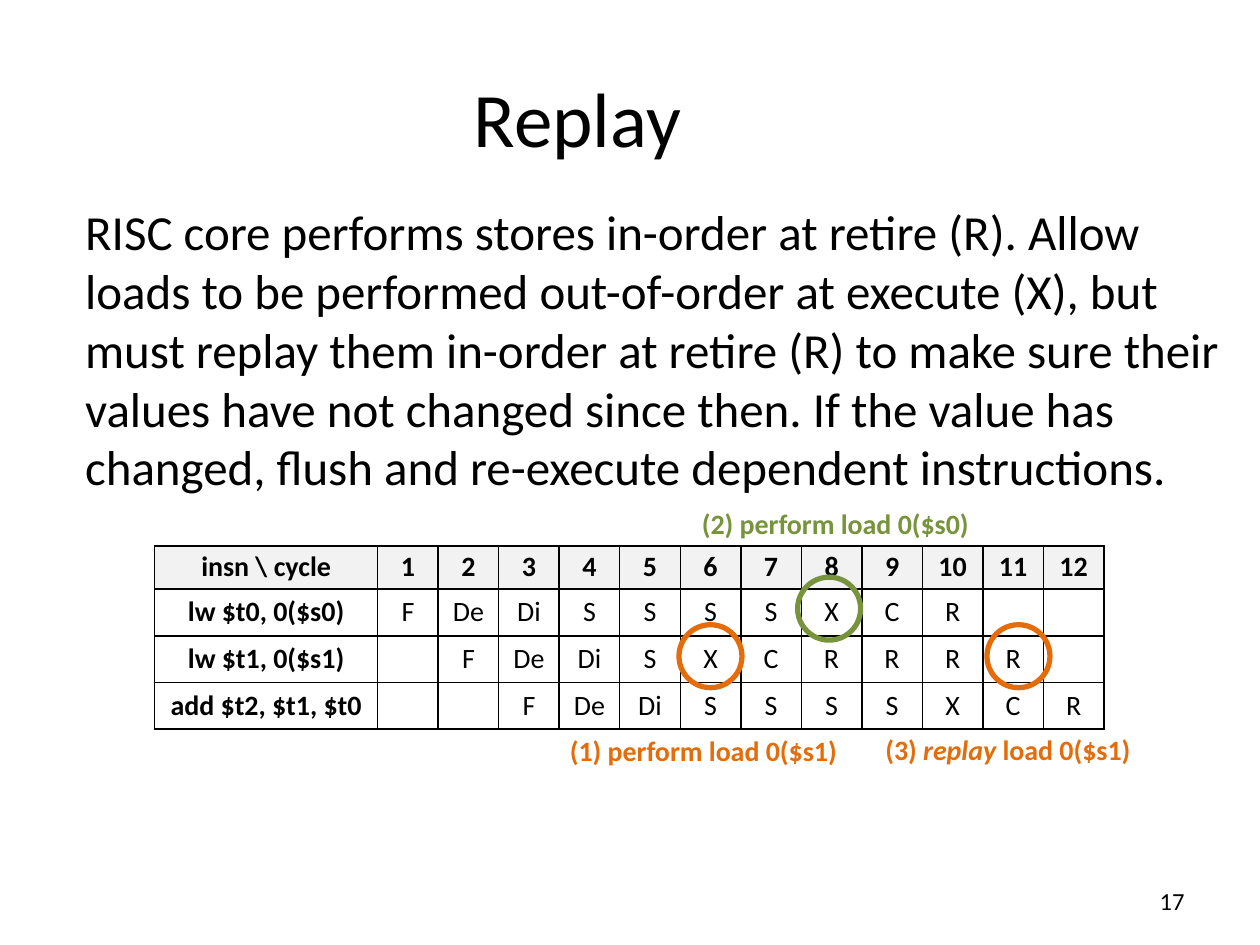
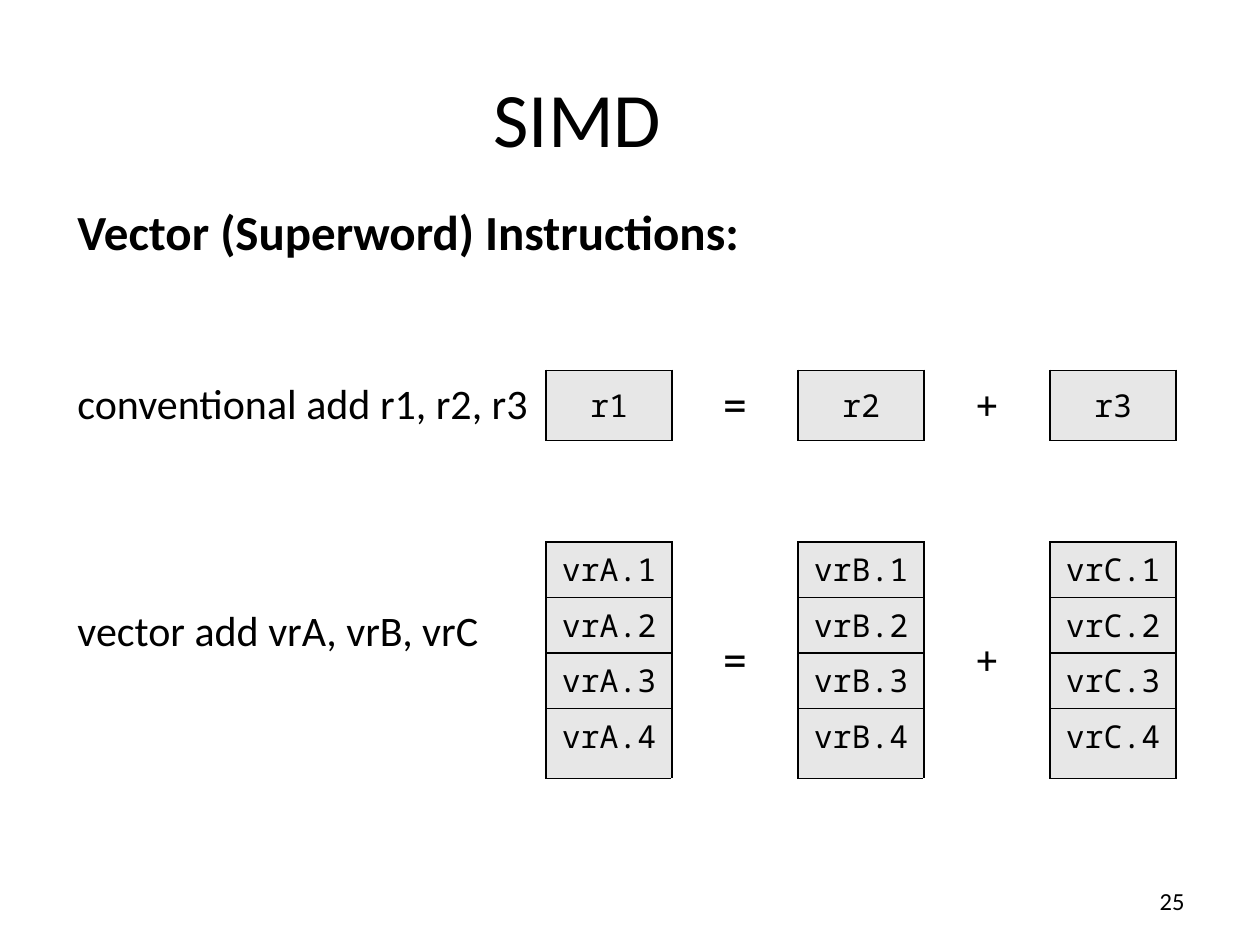
from pptx import Presentation
from pptx.dml.color import RGBColor
from pptx.enum.shapes import MSO_SHAPE as Preset
from pptx.enum.text import MSO_ANCHOR as Anchor, PP_ALIGN as Align
from pptx.oxml.ns import qn
from pptx.util import Pt
from lxml.etree import SubElement

BLACK, WHITE = "000000", "FFFFFF"
HEADER_GREY, REGISTER_GREY = "F2F2F2", "E7E7E7"
ORANGE, GREEN = "E46C0A", "77933C"
SANS, MONO = "Calibri", "Noto Sans Mono"
REGISTER_LEFT, REGISTER_WIDTH = 312, 72


def rgb(hex_code):
    return RGBColor.from_string(hex_code)


def style(span, size, color=BLACK, bold=False, italic=False, face=SANS):
    font = span.font
    font.name, font.size, font.bold, font.italic = face, Pt(size), bold, italic
    font.color.rgb = rgb(color)


def add_text(page, area, spans, size, align=Align.LEFT, anchor=Anchor.MIDDLE,
             color=BLACK, bold=False):
    """Add a one-paragraph box; spans is a list of (text, italic)."""
    frame = page.shapes.add_textbox(*map(Pt, area)).text_frame
    frame.word_wrap = True
    frame.vertical_anchor = anchor
    para = frame.paragraphs[0]
    para.alignment = align
    for text, italic in spans:
        span = para.add_run()
        span.text = text
        style(span, size, color, bold, italic)
    return frame


def add_page(deck, title, number):
    """Add a blank slide with the shared title and slide number."""
    page = deck.slides.add_slide(deck.slide_layouts[6])
    add_text(page, (36, 21.6, 588, 90), [(title, False)], 44, Align.CENTER)
    add_text(page, (600, 500.4, 84, 28.8), [(number, False)], 14, Align.RIGHT)
    return page


def add_callout(page, left, top, spans, color):
    add_text(page, (left, top, 180, 44), spans, 16, Align.CENTER,
             color=color, bold=True)


def add_ring(page, left, top, color):
    ring = page.shapes.add_shape(Preset.OVAL, Pt(left), Pt(top), Pt(36), Pt(36))
    ring.shadow.inherit = False
    ring.fill.background()
    ring.line.color.rgb = rgb(color)
    ring.line.width = Pt(3)


def add_grid(page, left, top, widths, heights):
    """Add a table without a banded style."""
    frame = page.shapes.add_table(len(heights), len(widths), Pt(left), Pt(top),
                                  Pt(sum(widths)), Pt(sum(heights)))
    table = frame.table
    table.first_row = table.horz_banding = False
    for column, width in zip(table.columns, widths):
        column.width = Pt(width)
    for row, height in zip(table.rows, heights):
        row.height = Pt(height)
    return table


def set_borders(cell, side_color=BLACK, edge_color=BLACK):
    properties = cell._tc.get_or_add_tcPr()
    borders = zip("LRTB", (side_color, side_color, edge_color, edge_color))
    for index, (side, color) in enumerate(borders):
        line = SubElement(properties, qn(f"a:ln{side}"), w=str(Pt(1)))
        fill = SubElement(line, qn("a:solidFill"))
        SubElement(fill, qn("a:srgbClr"), val=color)
        properties.insert(index, line)


def fill_cell(cell, text, size, fill, bold=False, face=SANS, spacing=None,
              anchor=Anchor.MIDDLE):
    cell.text = text
    cell.vertical_anchor = anchor
    para = cell.text_frame.paragraphs[0]
    para.alignment = Align.CENTER
    para.line_spacing = spacing
    for span in para.runs:
        style(span, size, bold=bold, face=face)
    if not text:
        SubElement(para._p, qn("a:endParaRPr"), sz=str(size * 100))
    if fill:
        cell.fill.solid()
        cell.fill.fore_color.rgb = rgb(fill)
    else:
        cell.fill.background()


def add_pipeline(page, left, top):
    """Add the pipeline diagram: instructions down, cycles across."""
    cycles = 12
    stages = [
        ("lw $t0, 0($s0)", 0, "F De Di S S S S X C R"),
        ("lw $t1, 0($s1)", 1, "F De Di S X C R R R R"),
        ("add $t2, $t1, $t0", 2, "F De Di S S S S X C R"),
    ]
    rows = [["insn \\ cycle", *map(str, range(1, cycles + 1))]]
    for instruction, delay, steps in stages:
        row = [instruction] + [""] * delay + steps.split()
        rows.append(row + [""] * (cycles + 1 - len(row)))
    table = add_grid(page, left, top, [127.4] + [34.6] * cycles,
                     [24.8] + [26.7] * len(stages))
    for r, row in enumerate(rows):
        for c, text in enumerate(row):
            cell = table.cell(r, c)
            fill_cell(cell, text, 16, WHITE if r else HEADER_GREY,
                      bold=r == 0 or c == 0, spacing=0.9)
            set_borders(cell)


def add_equation(page, top, registers, heights):
    """Add 'first = second + third', each register being a column of lanes."""
    table = add_grid(page, REGISTER_LEFT, top, [REGISTER_WIDTH] * 5, heights)
    last = len(heights) - 1
    for index, lanes in enumerate(registers):
        for r, lane in enumerate(lanes):
            cell = table.cell(r, 2 * index)
            fill_cell(cell, lane, 18, REGISTER_GREY, face=MONO,
                      anchor=Anchor.TOP if r else Anchor.MIDDLE)
            set_borders(cell)
    for column, operator in ((1, "="), (3, "+")):
        if last:
            table.cell(0, column).merge(table.cell(last, column))
        fill_cell(table.cell(0, column), operator, 24, None, face=MONO)
        for r in range(last + 1):
            set_borders(table.cell(r, column), edge_color=WHITE)


def build_replay(deck):
    page = add_page(deck, "Replay", "17")
    add_text(page, (41.6, 111.6, 666.7, 188.6), [(
        "RISC core performs stores in-order at retire (R). Allow loads to be "
        "performed out-of-order at execute (X), but must replay them in-order "
        "at retire (R) to make sure their values have not changed since then. "
        "If the value has changed, flush and re-execute dependent "
        "instructions.", False)], 28, anchor=Anchor.TOP)
    add_pipeline(page, 88.4, 311.9)
    add_callout(page, 312, 407, [("(1) perform load 0($s1)", False)], ORANGE)
    add_callout(page, 387.4, 277.2, [("(2) perform load 0($s0)", False)], GREEN)
    add_callout(page, 486, 406.4, [("(3) ", False), ("replay", True),
                                   (" load 0($s1)", False)], ORANGE)
    add_ring(page, 388, 357, ORANGE)
    add_ring(page, 455.8, 329.8, GREEN)
    add_ring(page, 564, 357, ORANGE)


def build_simd(deck):
    page = add_page(deck, "SIMD", "25")
    frame = add_text(page, (37.2, 111.6, 664.6, 396.7),
                     [("Vector (Superword) Instructions:", False)], 28,
                     anchor=Anchor.TOP, bold=True)
    for text, gap in (("conventional add r1, r2, r3", 67),
                      ("vector add vrA, vrB, vrC", 101)):
        para = frame.add_paragraph()
        para.text = text
        para.space_before = Pt(gap)
        style(para.runs[0], 24)
    add_equation(page, 211.7, [["r1"], ["r2"], ["r3"]], [40])
    vectors = [[f"vr{name}.{lane}" for lane in range(1, 5)] for name in "ABC"]
    add_equation(page, 309.6, vectors, [31.8] * 3 + [39.8])


def main():
    deck = Presentation()
    deck.slide_width, deck.slide_height = Pt(720), Pt(540)
    build_replay(deck)
    build_simd(deck)
    deck.save("out.pptx")


if __name__ == "__main__":
    main()
